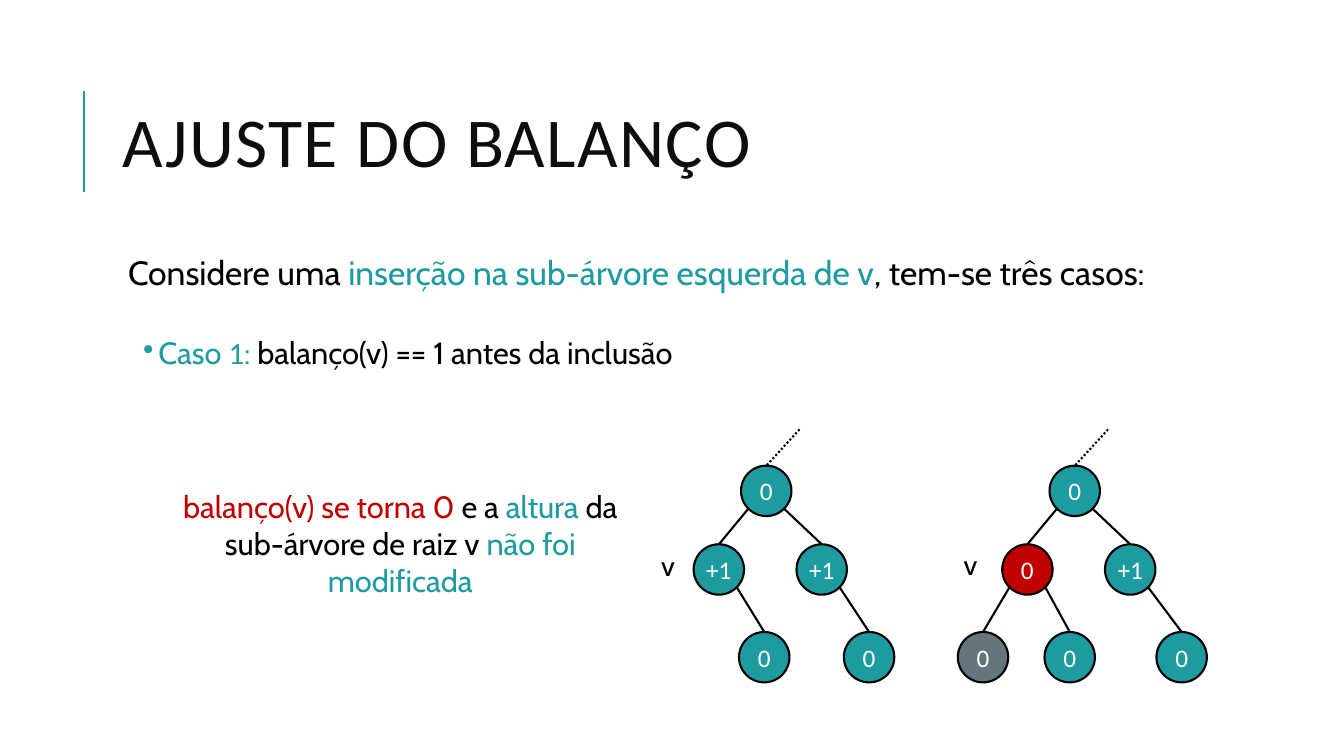
import pptx
import pptx.util
import pptx.dml.color
import pptx.enum.dml
import pptx.enum.shapes
import pptx.enum.text
import pptx.oxml.ns
import lxml.etree

Inches = pptx.util.Inches
Pt = pptx.util.Pt
qn = pptx.oxml.ns.qn
ALIGN = pptx.enum.text.PP_ALIGN
ANCHOR = pptx.enum.text.MSO_ANCHOR

COLORS = {"teal": "1D9BA1", "red": "C00000", "gray": "65757D",
          "black": "000000", "title": "0D0D0D", "white": "FFFFFF"}
DIAMETER = 0.5
DIAGONAL = 0.18  # offset from a node's centre to its lower corners
LEVEL_1, LEVEL_2 = 0.78, 1.65

# Nodes below the root: name, parent, side of parent, offset (x, y), label, colour
TREE_BEFORE = [
    ("v", "root", -1, -0.47, LEVEL_1, "+1", "teal"),
    ("right", "root", 1, 0.55, LEVEL_1, "+1", "teal"),
    ("v right", "v", 1, -0.02, LEVEL_2, "0", "teal"),
    ("right right", "right", 1, 1.02, LEVEL_2, "0", "teal"),
]
TREE_AFTER = [
    ("v", "root", -1, -0.47, LEVEL_1, "0", "red"),
    ("right", "root", 1, 0.55, LEVEL_1, "+1", "teal"),
    ("v left", "v", -1, -0.91, LEVEL_2, "0", "gray"),
    ("v right", "v", 1, -0.05, LEVEL_2, "0", "teal"),
    ("right right", "right", 1, 1.06, LEVEL_2, "0", "teal"),
]


def rgb(name):
    return pptx.dml.color.RGBColor.from_string(COLORS[name])


def add_line(page, start, end, color="black", dash=None):
    line = page.shapes.add_connector(
        pptx.enum.shapes.MSO_CONNECTOR.STRAIGHT,
        *[Inches(value) for value in (*start, *end)])
    line.line.color.rgb = rgb(color)
    line.line.width = Pt(1.5)
    if dash:
        line.line.dash_style = dash
    lxml.etree.SubElement(line._element.spPr, qn("a:effectLst"))


def add_text_box(page, box, inset=(0.1, 0.05), wrap=True, anchor=ANCHOR.TOP):
    frame = page.shapes.add_textbox(*[Inches(value) for value in box]).text_frame
    frame.word_wrap = wrap
    frame.vertical_anchor = anchor
    frame.margin_left = frame.margin_right = Inches(inset[0])
    frame.margin_top = frame.margin_bottom = Inches(inset[1])
    return frame


def write(para, size, font, spans):
    """Fill a paragraph with (text, colour) or (text, colour, font) spans."""
    para.font.size = Pt(size)
    para.font.name = font
    for text, color, *other_font in spans:
        span = para.add_run()
        span.text = text
        span.font.color.rgb = rgb(color)
        if other_font:
            span.font.name = other_font[0]


def add_title(page, box):
    left, top, width, height = box
    add_line(page, (left - 0.29, top + 1.26), (left - 0.29, top + 0.26), "teal")
    para = add_text_box(page, box, anchor=ANCHOR.MIDDLE).paragraphs[0]
    para.line_spacing = 0.8
    write(para, 50, "Calibri", [("AJUSTE DO BALANÇO", "title")])
    para.runs[0]._r.get_or_add_rPr().set("spc", "100")


def add_body(page, box):
    frame = add_text_box(page, box, inset=(0.05, 0.05))
    intro, case = frame.paragraphs[0], frame.add_paragraph()
    intro.line_spacing = case.line_spacing = 0.9
    write(intro, 24, "Cabin", [
        ("Considere uma ", "black"),
        ("inserção na sub-árvore esquerda de v", "teal"),
        (", tem-se três casos:", "black")])
    intro._p.get_or_add_pPr().set("marL", str(Inches(0.1)))

    # Bulleted case
    case.space_before = Pt(32)
    write(case, 22, "Cabin", [
        ("Caso ", "teal"), ("1", "teal", "Calibri"), (": ", "teal"),
        ("balanço(v) == 1 antes da inclusão", "black")])
    props = case._p.get_or_add_pPr()
    props.set("marL", str(Inches(0.4)))
    props.set("indent", str(Inches(-0.15)))
    bullet_color = lxml.etree.Element(qn("a:buClr"))
    lxml.etree.SubElement(bullet_color, qn("a:srgbClr")).set("val", COLORS["teal"])
    bullet = lxml.etree.Element(qn("a:buChar"))
    bullet.set("char", "•")
    defaults = props.find(qn("a:defRPr"))
    defaults.addprevious(bullet_color)
    defaults.addprevious(bullet)


def add_conclusion(page, box):
    para = add_text_box(page, box).paragraphs[0]
    para.alignment = ALIGN.CENTER
    write(para, 22, "Cabin", [
        ("balanço(v) se torna 0 ", "red"), ("e a ", "black"), ("altura", "teal"),
        (" da sub-árvore de raiz v ", "black"), ("não foi modificada", "teal")])


def add_node(page, center, label, color):
    x, y = center
    node = page.shapes.add_shape(
        pptx.enum.shapes.MSO_SHAPE.OVAL,
        Inches(x - DIAMETER / 2), Inches(y - DIAMETER / 2),
        Inches(DIAMETER), Inches(DIAMETER))
    node.shadow.inherit = False
    node.fill.solid()
    node.fill.fore_color.rgb = rgb(color)
    node.line.color.rgb = rgb("black")
    node.line.width = Pt(1.5)
    frame = node.text_frame
    frame.margin_left = frame.margin_right = frame.margin_top = frame.margin_bottom = 0
    frame.vertical_anchor = ANCHOR.MIDDLE
    para = frame.paragraphs[0]
    para.alignment = ALIGN.CENTER
    write(para, 18, "Calibri", [(label, "white")])


def add_tree(page, root, nodes, label_offset):
    """Draw a tree from its root's centre; label_offset places the "v" box."""
    x, y = root
    root_top = y - DIAMETER / 2
    add_node(page, root, "0", "teal")
    add_line(page, (x + 0.33, root_top - 0.36), (x, root_top),
             dash=pptx.enum.dml.MSO_LINE.ROUND_DOT)
    centers = {"root": root}
    for name, parent, side, across, down, label, color in nodes:
        center = centers[name] = (x + across, y + down)
        parent_x, parent_y = centers[parent]
        add_node(page, center, label, color)
        add_line(page, (parent_x + side * DIAGONAL, parent_y + DIAGONAL),
                 (center[0], center[1] - DIAMETER / 2))
    box = (x + label_offset[0], y + label_offset[1], 0.32, 0.44)
    write(add_text_box(page, box, wrap=False).paragraphs[0], 20, "Cabin",
          [("v", "black")])


def main():
    deck = pptx.Presentation()
    deck.slide_width, deck.slide_height = Inches(13.33), Inches(7.5)
    page = deck.slides.add_slide(deck.slide_layouts[6])
    add_title(page, (1.12, 0.64, 10.63, 1.64))
    add_body(page, (1.12, 2.5, 10.63, 4.4))
    add_conclusion(page, (1.63, 4.79, 4.68, 1.21))
    add_tree(page, (7.6, 4.87), TREE_BEFORE, (-1.14, 0.52))
    add_tree(page, (10.66, 4.87), TREE_AFTER, (-1.2, 0.51))
    deck.save("out.pptx")


if __name__ == "__main__":
    main()
